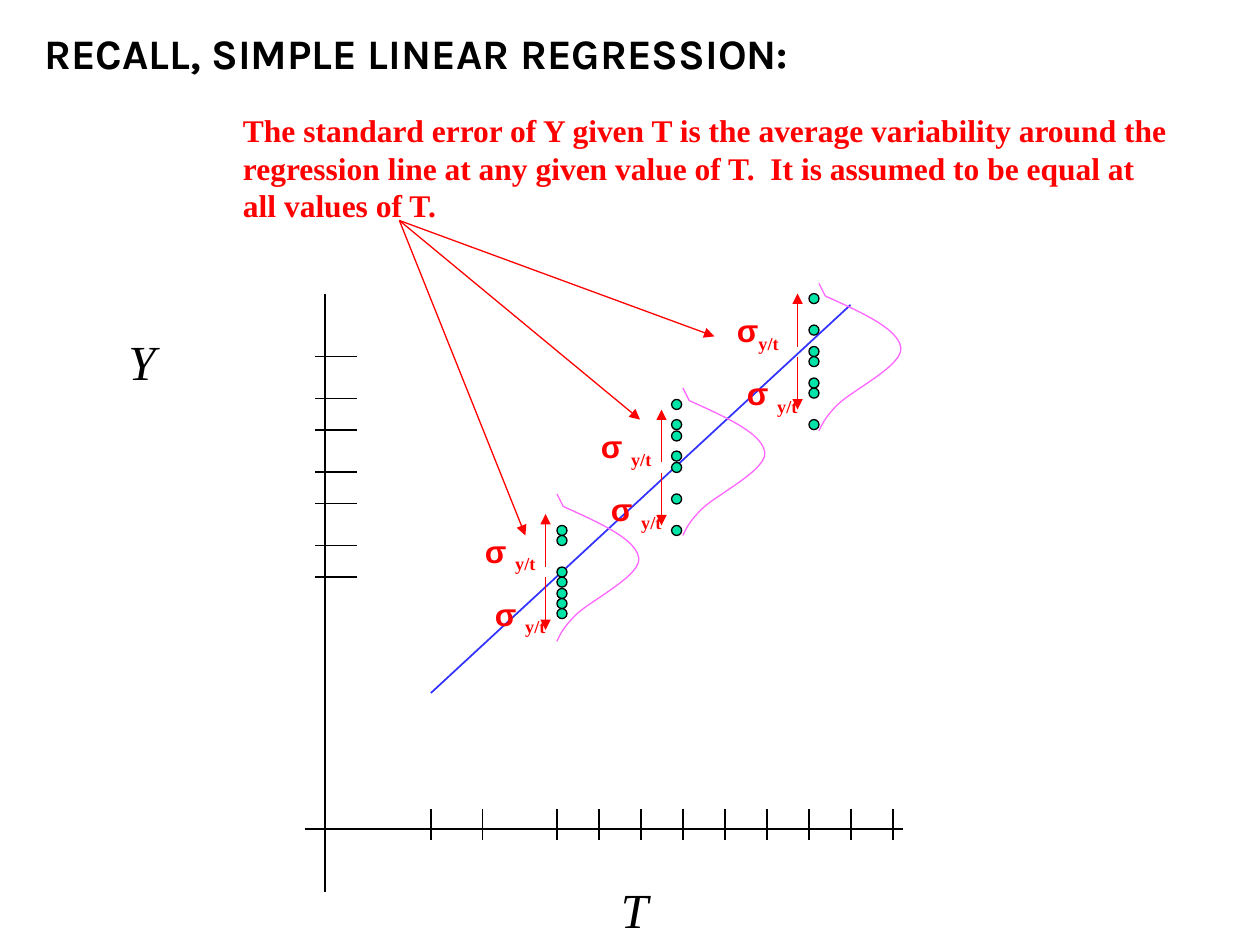
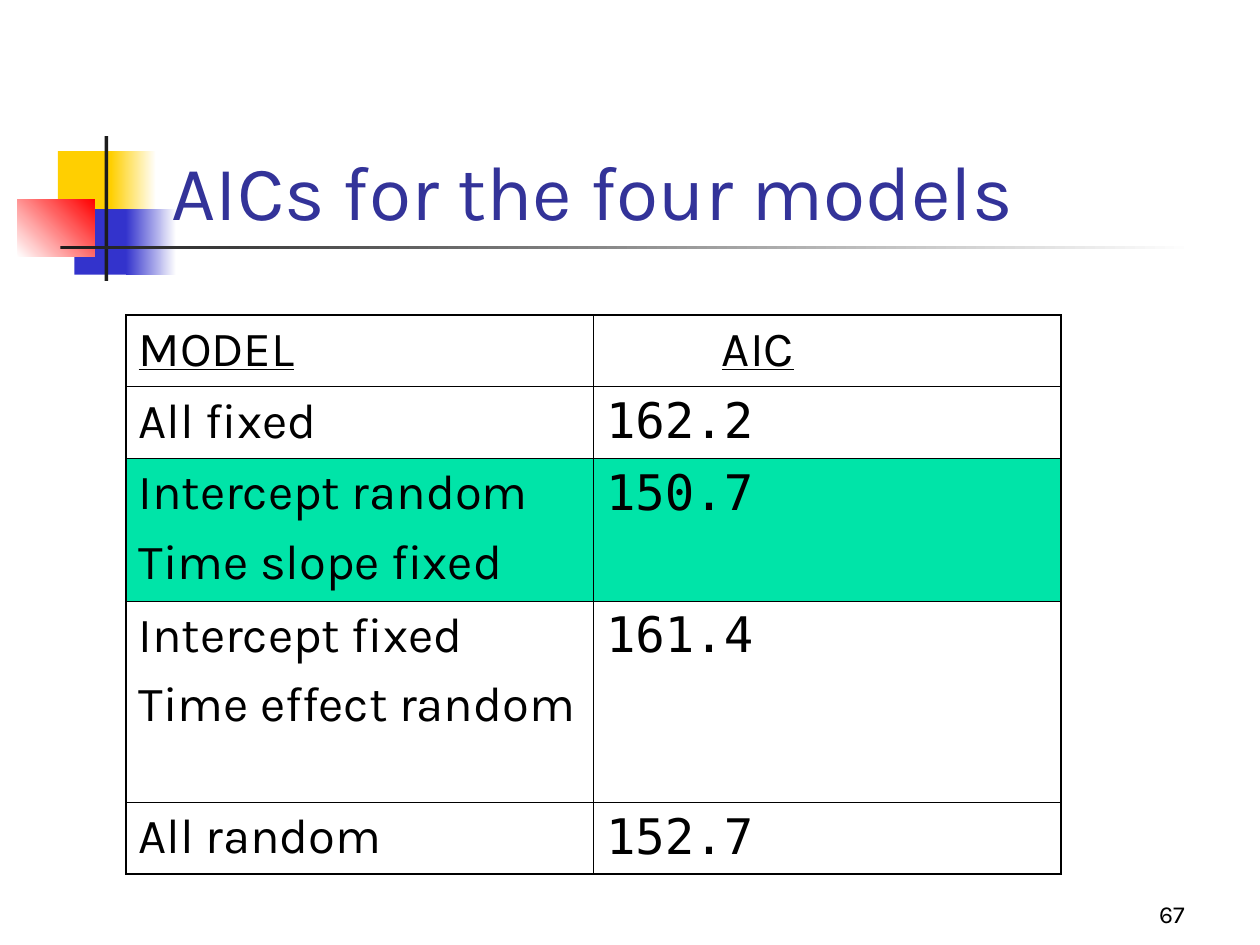
"""Build two slides on regression: an annotated scatter diagram and a table of AICs."""
from dataclasses import dataclass

from lxml.etree import SubElement
from pptx import Presentation
from pptx.dml.color import RGBColor
from pptx.enum.shapes import MSO_CONNECTOR, MSO_SHAPE
from pptx.enum.text import MSO_ANCHOR, MSO_AUTO_SIZE, PP_ALIGN
from pptx.oxml.ns import qn
from pptx.util import Inches, Pt


@dataclass(frozen=True)
class Theme:
    black: str = "000000"
    white: str = "FFFFFF"
    red: str = "FF0000"
    pink: str = "FF66FF"
    green: str = "00E4A8"
    fit_line: str = "3333FF"
    title: str = "333399"
    yellow: str = "FFCF01"
    blue: str = "3333CC"
    bar: str = "1C1C1C"
    sans: str = "Karla"
    serif: str = "Times New Roman"
    symbol: str = "Arial"
    mono: str = "DejaVu Sans Mono"
    title_size: float = 44
    axis_size: float = 28
    table_size: float = 28
    heading_size: float = 24
    note_size: float = 18
    number_size: float = 14
    thin: float = 0.75
    outer_border: float = 1.08
    inner_border: float = 0.45


@dataclass(frozen=True)
class Cluster:
    dot_x: float
    dot_tops: tuple
    arrow_x: float
    arrow_top: float
    bell: tuple
    pointer: tuple
    upper_label: str = "σ "


CLUSTERS = (
    Cluster(6.42, (2.33, 2.58, 2.75, 2.83, 3, 3.08, 3.33), 6.33, 2.33,
            (6.5, 2.25), (5.67, 2.67), "σ"),
    Cluster(5.33, (3.17, 3.33, 3.42, 3.58, 3.67, 3.92, 4.17), 5.25, 3.25,
            (5.42, 3.08), (5.08, 3.33)),
    Cluster(4.42, (4.17, 4.25, 4.5, 4.58, 4.67, 4.75, 4.83), 4.33, 4.08,
            (4.42, 3.92), (4.17, 4.25)),
)
BELL_START = (0.05, 0.1)
BELL_CURVES = (
    ((0.34, 0.23), (0.63, 0.36), (0.65, 0.51)),
    ((0.67, 0.65), (0.26, 0.85), (0.15, 0.96)),
    ((0.04, 1.07), (0.02, 1.13), (0, 1.17)),
)
NOTE = ("The standard error of Y given T is the average variability around the "
        "regression line at any given value of T.  It is assumed to be equal at "
        "all values of T.")
AIC_ROWS = (
    (0.57, ("All fixed",), "162.2"),
    (1.13, ("Intercept random", "Time slope fixed"), "150.7"),
    (1.6, ("Intercept fixed", "Time effect random"), "161.4"),
    (0.57, ("All random",), "152.7"),
)
BEST_AIC = "150.7"


def bezier_points(start, curves, steps=12):
    """Return points along a chain of cubic curves."""
    points = [start]
    for c1, c2, end in curves:
        a = points[-1]
        for i in range(1, steps + 1):
            t = i / steps
            u = 1 - t
            points.append(tuple(
                u**3 * a[k] + 3 * u * u * t * c1[k] + 3 * u * t * t * c2[k] + t**3 * end[k]
                for k in (0, 1)))
    return points


class Deck:
    """Hold the theme and the current slide, and draw each kind of element."""

    def __init__(self, prs, theme):
        self.prs = prs
        self.theme = theme
        self.slide = None

    def new_slide(self):
        """Start a slide that has only a title placeholder."""
        self.slide = self.prs.slides.add_slide(self.prs.slide_layouts[5])

    def run(self, p, text, font, size, color, bold=False, italic=False,
            underline=False, baseline=0):
        """Add one formatted run to a paragraph."""
        r = p.add_run()
        r.text = text
        f = r.font
        f.name, f.size, f.bold, f.italic = font, Pt(size), bold, italic
        f.underline = underline
        f.color.rgb = RGBColor.from_string(color)
        if baseline:
            r._r.get_or_add_rPr().set("baseline", str(baseline * 1000))

    def title(self, box, text, size, color, bold=False, anchor=MSO_ANCHOR.TOP):
        """Place and fill the title, in front of what is already drawn."""
        sp = self.slide.shapes.title
        sp.left, sp.top, sp.width, sp.height = map(Inches, box)
        tf = sp.text_frame
        tf.auto_size = MSO_AUTO_SIZE.NONE
        tf.vertical_anchor = anchor
        p = tf.paragraphs[0]
        p.alignment = PP_ALIGN.LEFT
        self.run(p, text, self.theme.sans, size, color, bold)
        self.slide.shapes.element.append(sp.element)

    def text(self, box, align=PP_ALIGN.LEFT, anchor=MSO_ANCHOR.TOP):
        """Add a wrapping text box and return its first paragraph."""
        tf = self.slide.shapes.add_textbox(*map(Inches, box)).text_frame
        tf.word_wrap = True
        tf.vertical_anchor = anchor
        p = tf.paragraphs[0]
        p.alignment = align
        return p

    def line(self, start, end, color=None, width=None, arrow=False):
        """Draw a straight line, with an arrowhead at its end if asked."""
        c = self.slide.shapes.add_connector(
            MSO_CONNECTOR.STRAIGHT, *map(Inches, (*start, *end)))
        c.line.color.rgb = RGBColor.from_string(color or self.theme.black)
        c.line.width = Pt(width or self.theme.thin)
        if arrow:
            SubElement(c.line._get_or_add_ln(), qn("a:tailEnd"), type="triangle")
        SubElement(c.element.spPr, qn("a:effectLst"))

    def shape(self, kind, box, fill, fade_to=None, angle=0, outline=None):
        """Add a preset shape with a solid fill or a two-colour gradient."""
        sp = self.slide.shapes.add_shape(kind, *map(Inches, box))
        sp.shadow.inherit = False
        if fade_to:
            sp.fill.gradient()
            sp.fill.gradient_angle = angle
            for stop, color in zip(sp.fill.gradient_stops, (fill, fade_to)):
                stop.color.rgb = RGBColor.from_string(color)
        else:
            sp.fill.solid()
            sp.fill.fore_color.rgb = RGBColor.from_string(fill)
        if outline:
            sp.line.color.rgb = RGBColor.from_string(outline)
            sp.line.width = Pt(self.theme.thin)
        else:
            sp.line.fill.background()

    def curve(self, origin, points, color):
        """Draw an open outline through points given from an origin."""
        pts = [(Inches(origin[0] + x), Inches(origin[1] + y)) for x, y in points]
        builder = self.slide.shapes.build_freeform(*pts[0])
        builder.add_line_segments(pts[1:], close=False)
        sp = builder.convert_to_shape()
        sp.shadow.inherit = False
        sp.fill.background()
        sp.line.color.rgb = RGBColor.from_string(color)
        sp.line.width = Pt(self.theme.thin)

    def table(self, box, heights):
        """Add a plain two-column table with a heavier outer border."""
        th = self.theme
        tbl = self.slide.shapes.add_table(len(heights), 2, *map(Inches, box)).table
        tbl.first_row = tbl.horz_banding = False
        last = len(heights) - 1
        for i, height in enumerate(heights):
            tbl.rows[i].height = Inches(height)
            for j in (0, 1):
                cell = tbl.cell(i, j)
                outer = {"L": j == 0, "R": j == 1, "T": i == 0, "B": i == last}
                for side, heavy in outer.items():
                    width = Pt(th.outer_border if heavy else th.inner_border)
                    ln = SubElement(cell._tc.get_or_add_tcPr(), qn(f"a:ln{side}"),
                                    w=str(width))
                    fill = SubElement(ln, qn("a:solidFill"))
                    SubElement(fill, qn("a:srgbClr"), val=th.black)
                cell.fill.background()
        return tbl

    def cell(self, cell, lines, font, fill=None, underline=False, indent=0):
        """Write one paragraph per line into a table cell."""
        th = self.theme
        tf = cell.text_frame
        for i, text in enumerate(lines):
            p = tf.add_paragraph() if i else tf.paragraphs[0]
            p.space_before = Pt(th.table_size / 4)
            if indent:
                p._p.get_or_add_pPr().set("marL", str(Inches(indent)))
            self.run(p, text, font, th.table_size, th.black, underline=underline)
        if fill:
            cell.fill.solid()
            cell.fill.fore_color.rgb = RGBColor.from_string(fill)


def draw_axes(deck):
    """Draw both axes, their ticks and names, and the fitted line."""
    th = deck.theme
    deck.line((2.58, 2.33), (2.58, 7.08))
    deck.line((2.42, 6.58), (7.17, 6.58))
    for x in [3.42, 3.83] + [4.42 + i / 3 for i in range(9)]:
        deck.line((x, 6.42), (x, 6.67))
    for i in range(7):
        y = 2.83 + i // 2 * 7 / 12 + i % 2 / 3
        deck.line((2.5, y), (2.83, y))
    deck.line((3.42, 5.5), (6.75, 2.42), th.fit_line, 1)
    for name, box in (("Y", (0.92, 2.58, 1.67, 0.57)), ("T", (4.83, 6.93, 2.5, 0.57))):
        deck.run(deck.text(box), name, th.serif, th.axis_size, th.black, italic=True)


def draw_cluster(deck, cluster):
    """Draw the points at one value of T, their bell curve and spread."""
    th = deck.theme
    for top in cluster.dot_tops:
        deck.shape(MSO_SHAPE.OVAL, (cluster.dot_x, top, 0.08, 0.08), th.green,
                   outline=th.black)
    deck.curve(cluster.bell, bezier_points(BELL_START, BELL_CURVES), th.pink)
    deck.curve(cluster.bell, (BELL_START, (0, 0)), th.pink)
    x, top = cluster.arrow_x, cluster.arrow_top
    deck.line((x, top + 0.42), (x, top), th.red, arrow=True)
    deck.line((x, top + 0.5), (x, top + 0.92), th.red, arrow=True)
    for sigma, dx, dy in ((cluster.upper_label, -0.58, 0.09), ("σ ", -0.5, 0.59)):
        p = deck.text((x + dx, top + dy, 0.83, 0.44))
        deck.run(p, sigma, th.symbol, th.note_size, th.red, bold=True)
        deck.run(p, "y/t", th.serif, th.note_size, th.red, bold=True, baseline=-25)


def regression_slide(deck):
    """Build the diagram of equal spread around a regression line."""
    th = deck.theme
    deck.new_slide()
    draw_axes(deck)
    for cluster in CLUSTERS:
        draw_cluster(deck, cluster)
    p = deck.text((1.83, 0.83, 7.58, 1))
    deck.run(p, NOTE, th.serif, th.note_size, th.red, bold=True)
    for cluster in CLUSTERS:
        deck.line((3.17, 1.75), cluster.pointer, th.red, arrow=True)
    deck.title((0.25, 0.17, 9.17, 0.5), "RECALL, SIMPLE LINEAR REGRESSION:",
               th.heading_size, th.black, bold=True)


def aic_slide(deck):
    """Build the table that compares the models."""
    th = deck.theme
    deck.new_slide()
    for box, fill, fade_to, angle in (
            ((0.46, 1.2, 0.48, 0.52), th.yellow, None, 0),
            ((0.88, 1.2, 0.36, 0.52), th.yellow, th.white, 0),
            ((0.59, 1.66, 0.46, 0.52), th.blue, None, 0),
            ((1, 1.66, 0.4, 0.52), th.blue, th.white, 0),
            ((0.14, 1.58, 0.61, 0.46), th.white, th.red, 45),
            ((0.83, 1.08, 0.03, 1.15), th.bar, None, 0),
            ((0.48, 1.95, 9, 0.03), th.bar, th.white, 0)):
        deck.shape(MSO_SHAPE.RECTANGLE, box, fill, fade_to, angle)
    deck.title((1.26, 0.67, 8.52, 1.25), "AICs for the four models",
               th.title_size, th.title, anchor=MSO_ANCHOR.BOTTOM)
    tbl = deck.table((1, 2.5, 7.42, 4.44), [0.57] + [row[0] for row in AIC_ROWS])
    deck.cell(tbl.cell(0, 0), ("MODEL",), th.sans, underline=True)
    deck.cell(tbl.cell(0, 1), ("AIC",), th.sans, underline=True, indent=0.92)
    for i, (_, model, aic) in enumerate(AIC_ROWS, 1):
        fill = th.green if aic == BEST_AIC else None
        deck.cell(tbl.cell(i, 0), model, th.sans, fill)
        deck.cell(tbl.cell(i, 1), (aic,), th.mono, fill)
    p = deck.text((7.42, 6.92, 2.08, 0.5), PP_ALIGN.RIGHT, MSO_ANCHOR.BOTTOM)
    deck.run(p, "67", th.sans, th.number_size, th.black)


def main():
    """Build and save the presentation."""
    prs = Presentation()
    prs.slide_width, prs.slide_height = Inches(10), Inches(7.5)
    deck = Deck(prs, Theme())
    regression_slide(deck)
    aic_slide(deck)
    prs.save("out.pptx")


if __name__ == "__main__":
    main()
